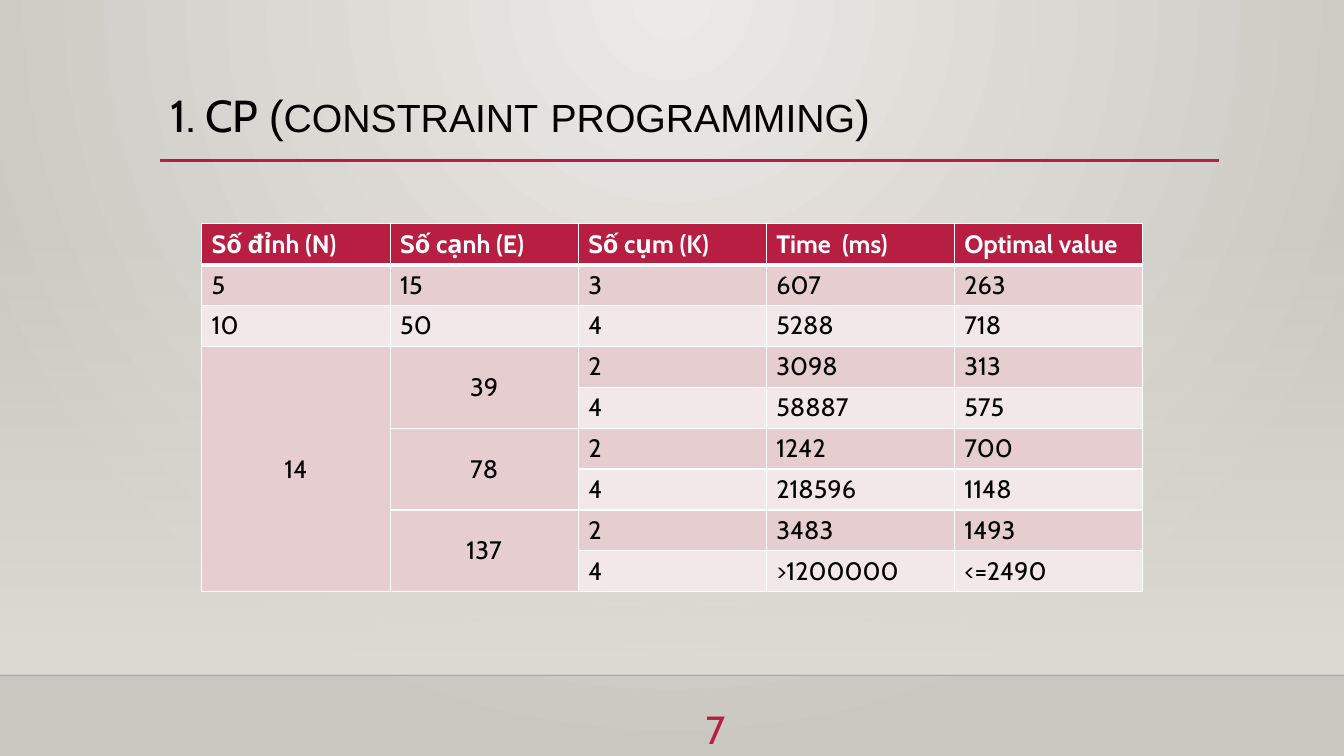
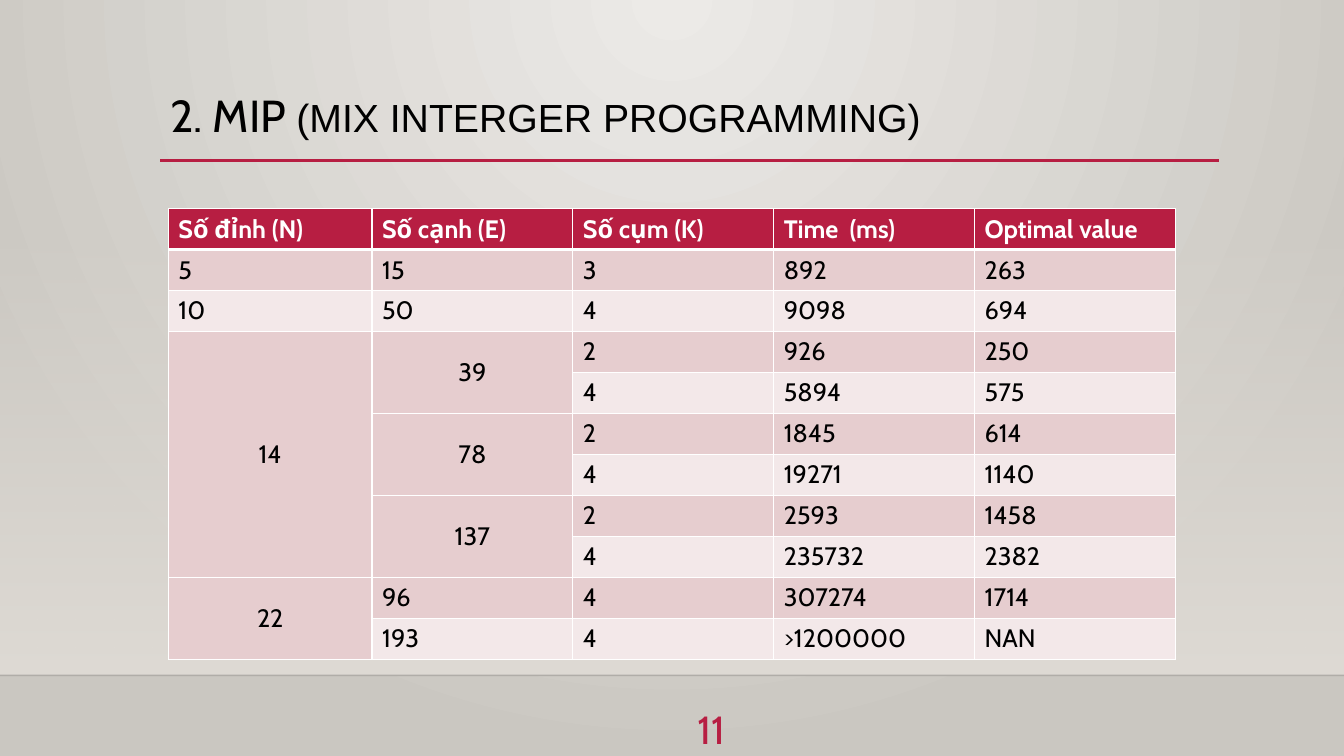
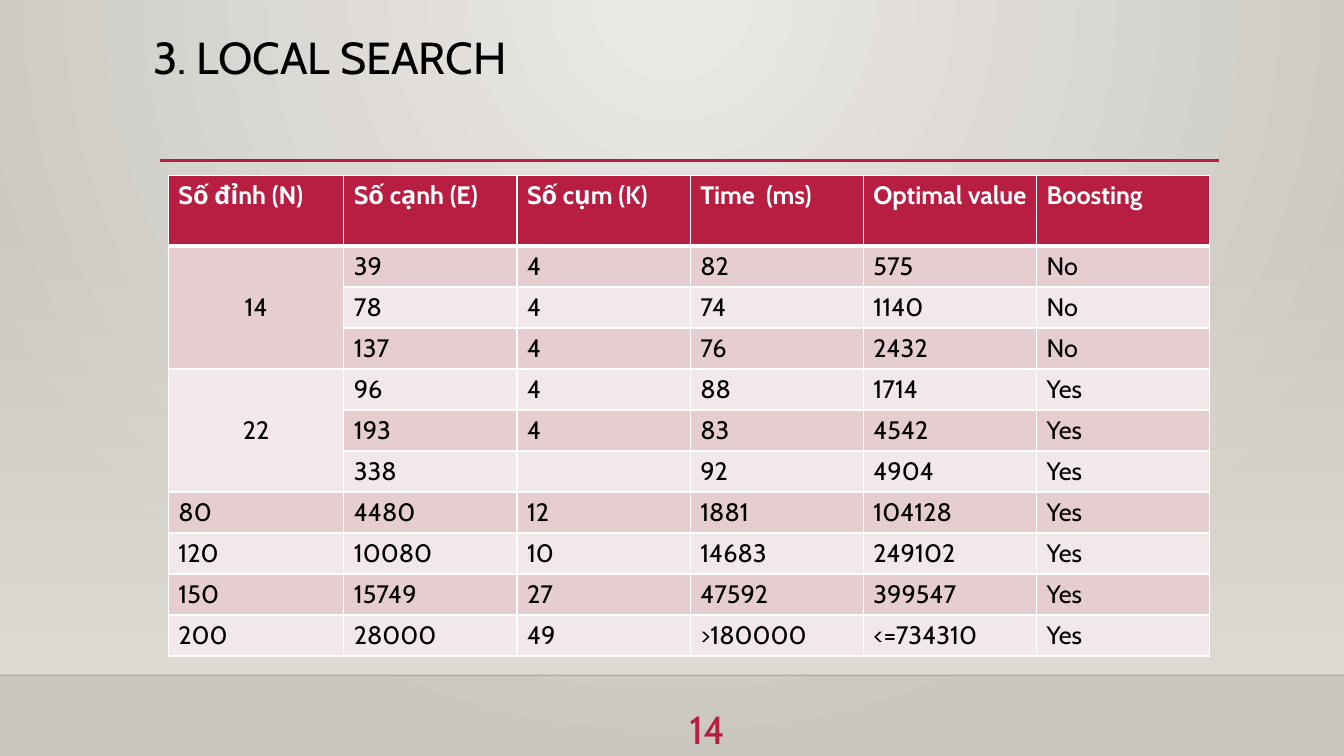
from lxml import etree
from pptx import Presentation
from pptx.dml.color import RGBColor
from pptx.enum.shapes import MSO_CONNECTOR, MSO_SHAPE
from pptx.enum.text import MSO_ANCHOR, PP_ALIGN
from pptx.oxml import parse_xml
from pptx.oxml.ns import nsdecls, qn
from pptx.util import Inches, Pt

STRAIGHT = MSO_CONNECTOR.STRAIGHT
RECTANGLE = MSO_SHAPE.RECTANGLE
TOP, MIDDLE = MSO_ANCHOR.TOP, MSO_ANCHOR.MIDDLE
LEFT, CENTER, RIGHT = PP_ALIGN.LEFT, PP_ALIGN.CENTER, PP_ALIGN.RIGHT

WIDTH, HEIGHT = 13.33, 7.5
CRIMSON, WHITE, BLACK = "B71E42", "FFFFFF", "000000"
BANDS = ("F3E8E9", "E6CDCF")
BACKDROP = ("ECEAE7", "CAC7C1")
WALL = "DFDBD5"
FLOOR_TOP = 6.7
TITLE_BOX = (1.59, 0.88, 10.5, 1.15)
NUMBER_BOX = (6.4, 6.96, 0.89, 0.54)

TITLE_FONT = {"name": "Cabin", "size": Pt(32), "color": BLACK}
TITLE_ARIAL = {**TITLE_FONT, "name": "Arial"}
TITLE_SMALL = {**TITLE_ARIAL, "size": Pt(28)}
NUMBER_FONT = {"name": "Cabin", "size": Pt(28), "color": CRIMSON}
BODY_FONT = {"name": "Cabin", "size": Pt(18), "color": BLACK, "bold": False}
HEADER_FONT = {**BODY_FONT, "color": WHITE, "bold": True}

HEADER = ("Số đỉnh (N)", "Số cạnh (E)", "Số cụm (K)", "Time  (ms)", "Optimal value")
# None continues the cell above it.
GRAPHS = [
    (5, 15, 3), (10, 50, 4),
    (14, 39, 2), (None, None, 4),
    (None, 78, 2), (None, None, 4),
    (None, 137, 2), (None, None, 4),
    (22, 96, 4), (None, 193, 4),
]
CP_RESULTS = [
    (607, 263), (5288, 718), (3098, 313), (58887, 575),
    (1242, 700), (218596, 1148), (3483, 1493), (">1200000", "<=2490"),
]
MIP_RESULTS = [
    (892, 263), (9098, 694), (926, 250), (5894, 575), (1845, 614),
    (19271, 1140), (2593, 1458), (235732, 2382), (307274, 1714),
    (">1200000", "NAN"),
]
LOCAL_SEARCH_ROWS = [
    (14, 39, 4, 82, 575, "No"),
    (None, 78, 4, 74, 1140, "No"),
    (None, 137, 4, 76, 2432, "No"),
    (22, 96, 4, 88, 1714, "Yes"),
    (None, 193, 4, 83, 4542, "Yes"),
    (None, 338, "", 92, 4904, "Yes"),
    (80, 4480, 12, 1881, 104128, "Yes"),
    (120, 10080, 10, 14683, 249102, "Yes"),
    (150, 15749, 27, 47592, 399547, "Yes"),
    (200, 28000, 49, ">180000", "<=734310", "Yes"),
]


def rgb(value):
    return RGBColor.from_string(value)


def inches(box):
    return [Inches(length) for length in box]


def set_opacity(element, percent):
    """Set the opacity of the first colour inside the element."""
    color = next(element.iter(qn("a:srgbClr")))
    etree.SubElement(color, qn("a:alpha")).set("val", str(percent * 1000))


def fill_gradient(fill, colors):
    fill.gradient()
    for stop, color in zip(fill.gradient_stops, colors):
        stop.color.rgb = rgb(color)


def add_runs(paragraph, runs):
    for text, style in runs:
        run = paragraph.add_run()
        run.text = text
        for key, value in style.items():
            if key == "color":
                run.font.color.rgb = rgb(value)
            else:
                setattr(run.font, key, value)


def add_text(slide, box, runs, anchor=TOP, align=LEFT, spacing=1.0):
    frame = slide.shapes.add_textbox(*inches(box)).text_frame
    frame.word_wrap = True
    frame.vertical_anchor = anchor
    paragraph = frame.paragraphs[0]
    paragraph.alignment = align
    paragraph.line_spacing = spacing
    add_runs(paragraph, runs)


def add_rule(slide, left, right, y, color, points):
    rule = slide.shapes.add_connector(STRAIGHT, *inches((left, y, right, y)))
    rule.line.color.rgb = rgb(color)
    rule.line.width = Pt(points)
    etree.SubElement(rule.element.spPr, qn("a:effectLst"))
    return rule


def set_backdrop(master):
    """Give the master a radial gradient centred on the top edge."""
    fill_gradient(master.background.fill, BACKDROP)
    gradient = next(master.element.iter(qn("a:gradFill")))
    linear = gradient.find(qn("a:lin"))
    gradient.replace(linear, parse_xml(
        f'<a:path {nsdecls("a")} path="circle">'
        '<a:fillToRect l="43000" r="43000" b="100000"/></a:path>'))


def add_room(slide):
    """Draw the wall, the floor edge and the rule under the title."""
    wall = slide.shapes.add_shape(
        RECTANGLE, *inches((0, 2.21, WIDTH, FLOOR_TOP - 2.21)))
    wall.shadow.inherit = False
    wall.line.fill.background()
    fill_gradient(wall.fill, (WALL, WALL))
    wall.fill.gradient_angle = 270
    set_opacity(wall.element.spPr, 0)
    edge = add_rule(slide, 0, WIDTH, FLOOR_TOP, BLACK, 1)
    set_opacity(edge.element.spPr, 20)
    add_rule(slide, 1.59, 12.09, 1.59, CRIMSON, 2.5)


def add_borders(cell, row):
    widths = {"lnL": 1, "lnR": 1, "lnT": 3 if row == 1 else 1, "lnB": 1 if row else 3}
    for side, points in widths.items():
        cell._tc.get_or_add_tcPr().append(parse_xml(
            f'<a:{side} {nsdecls("a")} w="{Pt(points)}"><a:solidFill>'
            f'<a:srgbClr val="{WHITE}"/></a:solidFill></a:{side}>'))


def row_span(rows, row, column):
    end = row + 1
    while end < len(rows) and rows[end][column] is None:
        end += 1
    return end - row


def fill_cell(cell, value, row, span):
    add_borders(cell, row)
    cell.fill.solid()
    cell.fill.fore_color.rgb = rgb(BANDS[row % 2] if row else CRIMSON)
    if value in (None, ""):
        return
    paragraph = cell.text_frame.paragraphs[0]
    add_runs(paragraph, [(str(value), BODY_FONT if row else HEADER_FONT)])
    if span > 1:
        cell.vertical_anchor = MIDDLE
        paragraph.alignment = CENTER


def add_results(slide, box, rows, first_width, header_height=None):
    """Fill the box with a table; all but the first column and row are equal."""
    width, height = box[2:]
    row_count, column_count = len(rows), len(rows[0])
    header_height = header_height or height / row_count
    table = slide.shapes.add_table(row_count, column_count, *inches(box)).table
    for index, column in enumerate(table.columns):
        rest = (width - first_width) / (column_count - 1)
        column.width = Inches(rest if index else first_width)
    for index, row in enumerate(table.rows):
        rest = (height - header_height) / (row_count - 1)
        row.height = Inches(rest if index else header_height)
    for r, values in enumerate(rows):
        for c, value in enumerate(values):
            span = 1 if value is None else row_span(rows, r, c)
            fill_cell(table.cell(r, c), value, r, span)
            if span > 1:
                table.cell(r, c).merge(table.cell(r + span - 1, c))


def add_results_slide(prs, number, title, table, title_box=TITLE_BOX):
    slide = prs.slides.add_slide(prs.slide_layouts[6])
    add_room(slide)
    add_text(slide, title_box, title, spacing=0.9)
    add_results(slide, **table)
    add_text(slide, NUMBER_BOX, [(str(number), NUMBER_FONT)], MIDDLE, RIGHT)


def with_graphs(results):
    return [HEADER] + [graph + result for graph, result in zip(GRAPHS, results)]


def main():
    prs = Presentation()
    prs.slide_width, prs.slide_height = inches((WIDTH, HEIGHT))
    set_backdrop(prs.slide_master)
    add_results_slide(
        prs, 7,
        [("1. CP ", TITLE_FONT), ("(", TITLE_ARIAL), ("CONSTRAINT", TITLE_SMALL),
         (" ", TITLE_ARIAL), ("PROGRAMMING", TITLE_SMALL), (")", TITLE_ARIAL)],
        {"box": (2, 2.22, 9.33, 3.65), "rows": with_graphs(CP_RESULTS),
         "first_width": 1.87})
    add_results_slide(
        prs, 11,
        [("2. MIP ", TITLE_FONT), ("(MIX INTERGER PROGRAMMING)", TITLE_SMALL)],
        {"box": (1.67, 2.07, 9.99, 4.47), "rows": with_graphs(MIP_RESULTS),
         "first_width": 2.02})
    add_results_slide(
        prs, 14, [("3. LOCAL SEARCH", TITLE_FONT)],
        {"box": (1.67, 1.74, 10.33, 4.77),
         "rows": [HEADER + ("Boosting",)] + LOCAL_SEARCH_ROWS,
         "first_width": 1.74, "header_height": 0.7},
        title_box=(1.42, 0.31, 10.5, 1.15))
    prs.save("out.pptx")


if __name__ == "__main__":
    main()
